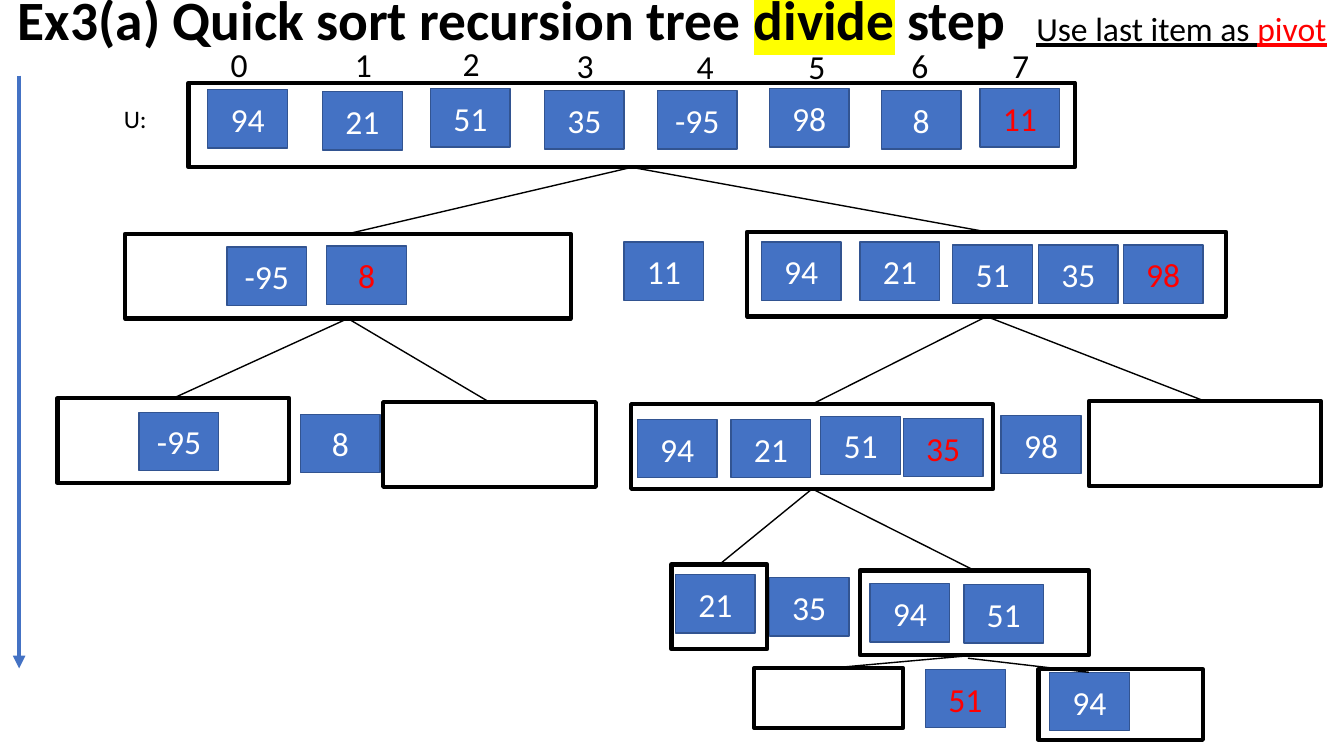
from pptx import Presentation
from pptx.dml.color import RGBColor
from pptx.enum.shapes import MSO_CONNECTOR, MSO_SHAPE
from pptx.enum.text import MSO_ANCHOR, PP_ALIGN
from pptx.oxml.ns import qn
from pptx.util import Inches, Pt
from lxml.etree import SubElement

COLORS = {
    "tile": "4472C4",
    "tile_edge": "325491",
    "ink": "000000",
    "tile_text": "FFFFFF",
    "pivot": "FF0000",
    "marker": "FFFF00",
}
FONT = "Calibri"
TILE_SIZE = (0.79, 0.58)
BOTTOM, TOP = 2, 0

# box, then tiles as (text, x in box, y in box, is pivot)
NODES = {
    "root": ((1.87, 0.82, 8.79, 0.84), [
        ("94", 0.19, 0.07, False), ("21", 1.33, 0.09, False),
        ("51", 2.4, 0.06, False), ("35", 3.53, 0.08, False),
        ("-95", 4.65, 0.08, False), ("98", 5.76, 0.06, False),
        ("8", 6.87, 0.08, False), ("11", 7.85, 0.06, True)]),
    "below 11": ((1.24, 2.32, 4.42, 0.84), [
        ("-95", 1.01, 0.13, False), ("8", 2, 0.12, True)]),
    "above 11": ((7.41, 2.3, 4.75, 0.84), [
        ("94", 0.14, 0.1, False), ("21", 1.12, 0.1, False),
        ("51", 2.04, 0.13, False), ("35", 2.89, 0.13, False),
        ("98", 3.73, 0.13, True)]),
    "below 8": ((0.57, 3.95, 2.3, 0.84), [("-95", 0.81, 0.14, False)]),
    "above 8": ((3.8, 3.99, 2.11, 0.84), []),
    "below 98": ((6.26, 4.01, 3.59, 0.84), [
        ("94", 0.06, 0.15, False), ("21", 0.99, 0.15, False),
        ("51", 1.88, 0.12, False), ("35", 2.7, 0.14, True)]),
    "above 98": ((10.8, 3.98, 2.3, 0.84), []),
    "below 35": ((6.66, 5.6, 0.95, 0.84), [("21", 0.04, 0.1, False)]),
    "above 35": ((8.53, 5.66, 2.27, 0.84), [
        ("94", 0.1, 0.13, False), ("51", 1.03, 0.14, False)]),
    "below 51": ((7.48, 6.63, 1.48, 0.59), []),
    "above 51": ((10.3, 6.64, 1.63, 0.7), [("94", 0.11, 0.03, False)]),
}
LINKS = [
    ("root", "below 11"), ("root", "above 11"),
    ("below 11", "below 8"), ("below 11", "above 8"),
    ("above 11", "below 98"), ("above 11", "above 98"),
    ("below 98", "below 35"), ("below 98", "above 35"),
    ("above 35", "below 51"),
]
PLACED_PIVOTS = [
    ("11", 6.19, 2.4, False), ("8", 2.98, 4.11, False),
    ("98", 9.93, 4.12, False), ("35", 7.63, 5.73, False),
    ("51", 9.18, 6.64, True),
]
INDEXES = [(2.19, 0.39), (3.42, 0.39), (4.49, 0.38), (5.62, 0.4),
           (6.81, 0.41), (7.92, 0.41), (8.94, 0.4), (9.94, 0.4)]


def color(name):
    return RGBColor.from_string(COLORS[name])


def style_font(font, size, color_name, bold=False):
    font.name = FONT
    font.size = Pt(size)
    font.bold = bold
    font.color.rgb = color(color_name)


def add_rectangle(page, box):
    rectangle = page.shapes.add_shape(MSO_SHAPE.RECTANGLE, *map(Inches, box))
    rectangle.shadow.inherit = False
    return rectangle


def draw_tile(page, text, left, top, is_pivot):
    tile = add_rectangle(page, (left, top, *TILE_SIZE))
    tile.fill.solid()
    tile.fill.fore_color.rgb = color("tile")
    tile.line.color.rgb = color("tile_edge")
    tile.line.width = Pt(1)
    frame = tile.text_frame
    frame.vertical_anchor = MSO_ANCHOR.MIDDLE
    para = frame.paragraphs[0]
    para.alignment = PP_ALIGN.CENTER
    para.add_run().text = text
    style_font(para.font, 24, "pivot" if is_pivot else "tile_text")
    style_font(para.runs[0].font, 24, "pivot" if is_pivot else "tile_text")


def draw_node(page, box, tiles):
    left, top = box[:2]
    for text, across, down, is_pivot in tiles:
        draw_tile(page, text, left + across, top + down, is_pivot)
    outline = add_rectangle(page, box)
    outline.fill.background()
    outline.line.color.rgb = color("ink")
    outline.line.width = Pt(3)
    return outline


def draw_line(page, start, end, color_name="ink", width=1):
    line = page.shapes.add_connector(
        MSO_CONNECTOR.STRAIGHT, *map(Inches, (*start, *end)))
    line.line.color.rgb = color(color_name)
    line.line.width = Pt(width)
    SubElement(line._element.spPr, qn("a:effectLst"))
    return line


def draw_tree(page):
    outlines = {name: draw_node(page, *node) for name, node in NODES.items()}
    for parent, child in LINKS:
        link = draw_line(page, (0, 0), (1, 1))
        link.begin_connect(outlines[parent], BOTTOM)
        link.end_connect(outlines[child], TOP)
    draw_line(page, (9.6, 6.53), (10.8, 6.67))
    for pivot in PLACED_PIVOTS:
        draw_tile(page, *pivot)


def draw_text(page, box, spans, size, bold=False, wrap=True):
    text_box = page.shapes.add_textbox(*map(Inches, box))
    text_box.text_frame.word_wrap = wrap
    para = text_box.text_frame.paragraphs[0]
    style_font(para.font, size, "ink", bold)
    for text in spans:
        span = para.add_run()
        span.text = text
        style_font(span.font, size, "ink", bold)
    return text_box.text_frame


def draw_heading(page, box):
    frame = draw_text(
        page, box, ["Ex3(a) Quick sort recursion tree ", "divide", " step"],
        39.6, bold=True)
    frame.vertical_anchor = MSO_ANCHOR.MIDDLE
    para = frame.paragraphs[0]
    para.line_spacing = 0.9
    properties = para.runs[1].font._element
    highlight = properties.makeelement(qn("a:highlight"))
    SubElement(highlight, qn("a:srgbClr"), val=COLORS["marker"])
    properties.find(qn("a:solidFill")).addnext(highlight)


def draw_pivot_hint(page, box):
    frame = draw_text(page, box, ["Use last item as ", "pivot"], 24, wrap=False)
    for span in frame.paragraphs[0].runs:
        span.font.underline = True
    frame.paragraphs[0].runs[1].font.color.rgb = color("pivot")


def draw_labels(page):
    draw_text(page, (1.13, 0.98, 0.64, 0.4), ["U:"], 18)
    for index, (left, top) in enumerate(INDEXES):
        draw_text(page, (left, top, 0.21, 0.5), [str(index)], 24)


def draw_time_arrow(page, start, end):
    arrow = draw_line(page, start, end, "tile", 3)
    SubElement(arrow.line._get_or_add_ln(), qn("a:tailEnd"), type="triangle")


def main():
    deck = Presentation()
    deck.slide_width = Inches(13.33)
    deck.slide_height = Inches(7.5)
    page = deck.slides.add_slide(deck.slide_layouts[6])
    draw_heading(page, (0.08, -0.02, 11.23, 0.48))
    draw_pivot_hint(page, (10.18, 0.03, 3.1, 0.5))
    draw_labels(page)
    draw_tree(page)
    draw_time_arrow(page, (0.19, 0.75), (0.19, 6.63))
    deck.save("out.pptx")


if __name__ == "__main__":
    main()
